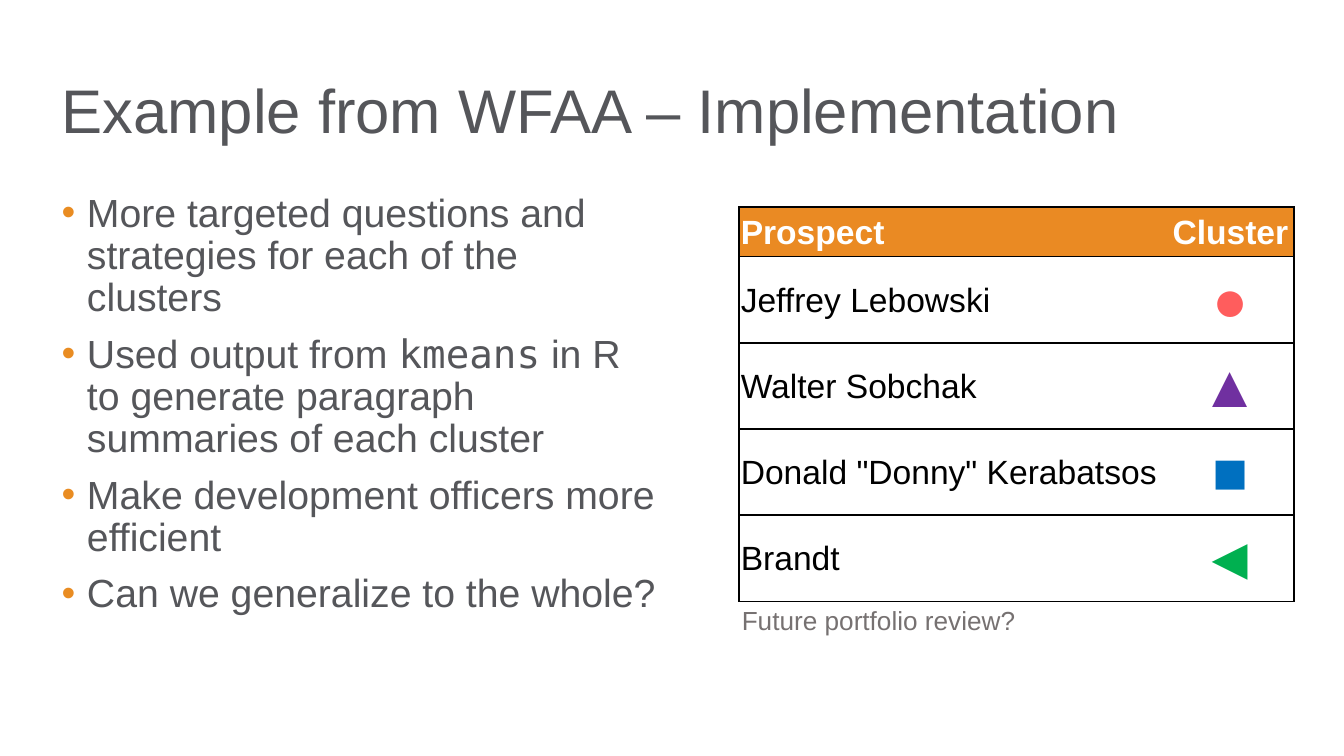
from dataclasses import dataclass

import pptx
import pptx.dml.color
import pptx.enum.text
import pptx.oxml
import pptx.oxml.ns
import pptx.util

Cm = pptx.util.Cm
Pt = pptx.util.Pt
ALIGN = pptx.enum.text.PP_ALIGN
ANCHOR = pptx.enum.text.MSO_ANCHOR
NO_FIT = pptx.enum.text.MSO_AUTO_SIZE.NONE


@dataclass(frozen=True)
class Theme:
    """Fonts, colours and type sizes of the slide."""
    sans: str = "Arial"
    mono: str = "DejaVu Sans Mono"
    ink: str = "55565A"
    bullet: str = "E98C22"
    header: str = "EA8A23"
    white: str = "FFFFFF"
    black: str = "000000"
    caption: str = "767171"
    title_size: int = 33
    body_size: int = 21
    cell_size: int = 18
    marker_size: int = 32
    caption_size: int = 14


THEME = Theme()

POINTS = [
    [("More targeted questions and strategies for each of the clusters", THEME.sans)],
    [("Used output from ", THEME.sans), ("kmeans", THEME.mono),
     (" in R to generate paragraph summaries of each cluster", THEME.sans)],
    [("Make development officers more efficient", THEME.sans)],
    [("Can we generalize to the whole?", THEME.sans)],
]

PROSPECTS = [
    ("Jeffrey Lebowski", "●", "FF5D5D"),
    ("Walter Sobchak", "▲", "7030A0"),
    ('Donald "Donny" Kerabatsos', "■", "0070C0"),
    ("Brandt", "◄", "00B050"),
]


def rgb(value):
    """Return a colour object for a hex value."""
    return pptx.dml.color.RGBColor.from_string(value)


def style(font, size, color, bold=False):
    """Give a font the slide's typeface, a size, a colour and a weight."""
    font.name = THEME.sans
    font.size = Pt(size)
    font.color.rgb = rgb(color)
    font.bold = bold


def place(shape, left, top, width, height):
    """Move and size a shape, in centimetres."""
    shape.left, shape.top = Cm(left), Cm(top)
    shape.width, shape.height = Cm(width), Cm(height)


def append_xml(parent, xml):
    """Append a drawing element written as XML."""
    namespace = pptx.oxml.ns.nsdecls("a")
    parent.append(pptx.oxml.parse_xml(xml.replace(" ", f" {namespace} ", 1)))


def add_bullet(paragraph):
    """Give a paragraph a coloured bullet with a hanging indent."""
    properties = paragraph._p.get_or_add_pPr()
    properties.set("marL", str(Cm(0.48)))
    properties.set("indent", str(-Cm(0.48)))
    append_xml(properties, f'<a:buClr ><a:srgbClr val="{THEME.bullet}"/></a:buClr>')
    append_xml(properties, f'<a:buFont typeface="{THEME.sans}"/>')
    append_xml(properties, '<a:buChar char="•"/>')


def fill_title(title, text):
    """Write and place the slide title."""
    place(title, 0.91, 0.76, 23.57, 2.77)
    frame = title.text_frame
    frame.auto_size = NO_FIT
    frame.vertical_anchor = ANCHOR.MIDDLE
    heading = frame.paragraphs[0]
    heading.text = text
    heading.alignment = ALIGN.LEFT
    heading.line_spacing = 0.9
    style(heading.font, THEME.title_size, THEME.ink)


def fill_body(body, points):
    """Write the bulleted points."""
    place(body, 0.91, 3.53, 11.81, 9.35)
    frame = body.text_frame
    frame.auto_size = NO_FIT
    frame.vertical_anchor = ANCHOR.TOP
    for index, pieces in enumerate(points):
        point = frame.add_paragraph() if index else frame.paragraphs[0]
        add_bullet(point)
        point.line_spacing = 0.9
        point.space_before = Pt(7.5 if index else 0)
        style(point.font, THEME.body_size, THEME.ink)
        for text, typeface in pieces:
            run = point.add_run()
            run.text = text
            if typeface != THEME.sans:
                run.font.name = typeface


def set_borders(cell, sides):
    """Rule the named sides of a cell in black and clear the others."""
    properties = cell._tc.get_or_add_tcPr()
    for side in "LRTB":
        paint = (f'<a:solidFill><a:srgbClr val="{THEME.black}"/></a:solidFill>'
                 if side in sides else "<a:noFill/>")
        append_xml(properties, f'<a:ln{side} w="{Pt(1)}">{paint}</a:ln{side}>')


def fill_cell(cell, text, size, color, sides, alignment, header):
    """Write and format one table cell."""
    set_borders(cell, sides)
    if header:
        cell.fill.solid()
        cell.fill.fore_color.rgb = rgb(THEME.header)
    else:
        cell.fill.background()
    cell.margin_left = cell.margin_right = cell.margin_top = Cm(0.03)
    cell.margin_bottom = 0
    cell.vertical_anchor = ANCHOR.MIDDLE
    entry = cell.text_frame.paragraphs[0]
    entry.text = text
    entry.alignment = alignment
    style(entry.font, size, color, header)


def add_prospect_table(slide, prospects):
    """Add the table of prospects and their cluster markers."""
    frame = slide.shapes.add_table(
        len(prospects) + 1, 2, Cm(13.97), Cm(3.91), Cm(10.49), Cm(7.46))
    table = frame.table
    table.horz_banding = False
    for column, width in zip(table.columns, (8.08, 2.41)):
        column.width = Cm(width)
    for index, row in enumerate(table.rows):
        row.height = Cm(1.63 if index else 0.94)
    rows = [("Prospect", "Cluster", THEME.white)] + prospects
    for index, (name, marker, color) in enumerate(rows):
        header = index == 0
        name_color = THEME.white if header else THEME.black
        marker_size = THEME.cell_size if header else THEME.marker_size
        fill_cell(table.cell(index, 0), name, THEME.cell_size, name_color,
                  "LTB", ALIGN.LEFT, header)
        fill_cell(table.cell(index, 1), marker, marker_size, color,
                  "RTB", ALIGN.CENTER, header)


def add_caption(slide, text):
    """Add the caption below the table."""
    box = slide.shapes.add_textbox(Cm(13.77), Cm(11.3), Cm(10.16), Cm(0.86))
    box.text_frame.word_wrap = True
    caption = box.text_frame.paragraphs[0]
    caption.text = text
    style(caption.font, THEME.caption_size, THEME.caption)


def main():
    """Build and save the slide."""
    deck = pptx.Presentation()
    deck.slide_width, deck.slide_height = Cm(25.4), Cm(14.29)
    slide = deck.slides.add_slide(deck.slide_layouts[1])
    fill_title(slide.shapes.title, "Example from WFAA – Implementation")
    fill_body(slide.placeholders[1], POINTS)
    add_caption(slide, "Future portfolio review?")
    add_prospect_table(slide, PROSPECTS)
    deck.save("out.pptx")


if __name__ == "__main__":
    main()
